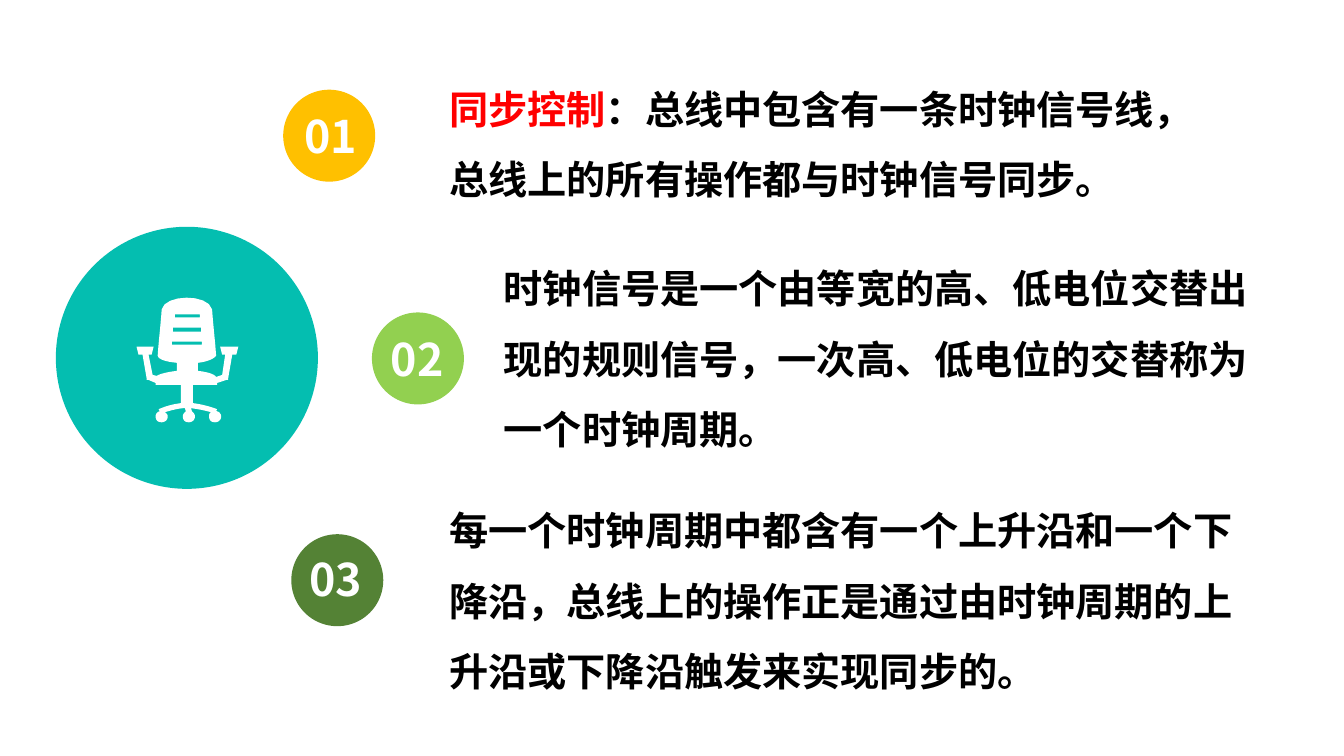
from lxml import etree
from pptx import Presentation
from pptx.dml.color import RGBColor
from pptx.enum import shapes, text
from pptx.oxml.ns import qn
from pptx.util import Pt

FONT = "Noto Sans CJK SC"
WHITE, BLACK, RED, TEAL = "FFFFFF", "000000", "FF0000", "04BEB0"
CURVE_STEPS = 8
CHAIR_UNIT = 0.72  # points per unit of the chair grid

# Each contour starts with a point; two numbers draw a line, six a Bézier curve.
CHAIR_BODY = [
    (75, 16), (76, 31, 78, 47, 79, 62), (77, 65, 70, 68, 61, 69), (61, 77),
    (70, 78, 77, 80, 79, 83), (85, 81), (88, 61), (85, 61), (83, 53),
    (101, 53), (99, 61), (95, 61), (91, 84), (91, 86), (89, 86), (80, 89),
    (80, 91), (56, 91), (56, 109), (64, 110, 72, 112, 80, 115), (79, 117),
    (82, 117, 84, 120, 84, 122), (84, 126, 81, 128, 78, 128),
    (74, 128, 72, 126, 72, 122), (72, 121, 72, 119, 74, 118),
    (67, 116, 61, 115, 54, 114), (55, 117), (56, 118, 58, 120, 58, 122),
    (58, 126, 55, 128, 52, 128), (48, 128, 46, 126, 46, 122),
    (46, 120, 47, 119, 49, 117), (48, 114), (42, 114, 35, 116, 28, 118),
    (30, 119, 31, 121, 31, 122), (31, 126, 28, 128, 25, 128),
    (21, 128, 19, 126, 19, 122), (19, 120, 20, 118, 23, 117), (22, 115),
    (29, 112, 36, 110, 44, 109), (44, 91), (19, 91), (19, 89), (12, 86),
    (10, 86), (10, 84), (6, 61), (2, 61), (0, 53), (17, 53), (15, 61),
    (12, 61), (16, 81), (20, 82), (23, 80, 31, 78, 40, 77), (40, 69),
    (30, 68, 22, 66, 21, 62), (22, 47, 24, 31, 25, 16),
    (28, 1, 71, 0, 75, 16),
]
CHAIR_SLATS = [
    [(left, top), (right, top), (right, bottom), (left, bottom)]
    for left, top, right, bottom in [
        (38, 21, 63, 24), (36, 34, 64, 38), (35, 48, 65, 51)]
]

# number, colour, circle corner, number offset, text box, runs
ITEMS = [
    ("01", "FFC000", (202.3, 64.1), (7.9, 10.1), (313.9, 40.3, 563.8, 108.7),
     [("同步控制", RED),
      ("：总线中包含有一条时钟信号线，总线上的所有操作都与时钟信号同步。", BLACK)]),
    ("02", "92D050", (265.7, 223.2), (6.5, 10.1), (352.8, 168.5, 563.8, 159.8),
     [("时钟信号是一个由等宽的高、低电位交替出现的规则信号，"
       "一次高、低电位的交替称为一个时钟周期。", BLACK)]),
    ("03", "548235", (208.1, 381.6), (5.8, 8.6), (313.9, 341.3, 576.7, 159.8),
     [("每一个时钟周期中都含有一个上升沿和一个下降沿，"
       "总线上的操作正是通过由时钟周期的上升沿或下降沿触发来实现同步的。", BLACK)]),
]


def colour(value):
    return RGBColor.from_string(value)


def paint(shape, value):
    shape.shadow.inherit = False
    shape.fill.solid()
    shape.fill.fore_color.rgb = colour(value)
    shape.line.fill.background()


def add_circle(slide, left, top, diameter, value):
    circle = slide.shapes.add_shape(
        shapes.MSO_SHAPE.OVAL, Pt(left), Pt(top), Pt(diameter), Pt(diameter))
    paint(circle, value)


def add_text(slide, box, runs, size, wrap=True, spacing=None):
    frame = slide.shapes.add_textbox(*map(Pt, box)).text_frame
    frame.word_wrap = wrap
    frame.auto_size = text.MSO_AUTO_SIZE.SHAPE_TO_FIT_TEXT
    paragraph = frame.paragraphs[0]
    if spacing:
        paragraph.line_spacing = spacing
    for words, value in runs:
        run = paragraph.add_run()
        run.text = words
        run.font.color.rgb = colour(value)
        for name, setting in {"size": Pt(size), "bold": True, "name": FONT}.items():
            setattr(run.font, name, setting)
        east_asian = etree.SubElement(run._r.get_or_add_rPr(), qn("a:ea"))
        east_asian.set("typeface", FONT)


def flatten(contour):
    """Return the contour in points, with its curves cut into short lines."""
    vertices = [contour[0]]
    for segment in contour[1:]:
        if len(segment) == 2:
            vertices.append(segment)
            continue
        controls = [vertices[-1], segment[:2], segment[2:4], segment[4:]]
        for step in range(1, CURVE_STEPS + 1):
            t = step / CURVE_STEPS
            weights = ((1 - t) ** 3, 3 * t * (1 - t) ** 2, 3 * t * t * (1 - t), t ** 3)
            vertices.append(tuple(
                sum(weight * point[axis] for weight, point in zip(weights, controls))
                for axis in (0, 1)))
    return [(Pt(x * CHAIR_UNIT), Pt(y * CHAIR_UNIT)) for x, y in vertices]


def add_chair(slide, left, top):
    body = flatten(CHAIR_BODY)
    builder = slide.shapes.build_freeform(*body[0])
    builder.add_line_segments(body[1:], close=True)
    for slat in map(flatten, CHAIR_SLATS):
        builder.move_to(*slat[0])
        builder.add_line_segments(slat[1:], close=True)
    paint(builder.convert_to_shape(Pt(left), Pt(top)), WHITE)


def add_badge(slide, left, top, diameter):
    add_circle(slide, left, top, diameter, TEAL)
    add_chair(slide, left + 57.6, top + 47.5)


def add_item(slide, number, fill, corner, offset, box, runs):
    left, top = corner
    add_circle(slide, left, top, 65.7, fill)
    number_box = (left + offset[0], top + offset[1], 54.7, 46)
    add_text(slide, number_box, [(number, WHITE)], 32, wrap=False)
    add_text(slide, box, runs, 28, spacing=1.5)


def main():
    presentation = Presentation()
    presentation.slide_width, presentation.slide_height = Pt(960), Pt(540)
    slide = presentation.slides.add_slide(presentation.slide_layouts[6])
    add_badge(slide, 39.9, 162, 187.2)
    for item in ITEMS:
        add_item(slide, *item)
    presentation.save("out.pptx")


if __name__ == "__main__":
    main()
